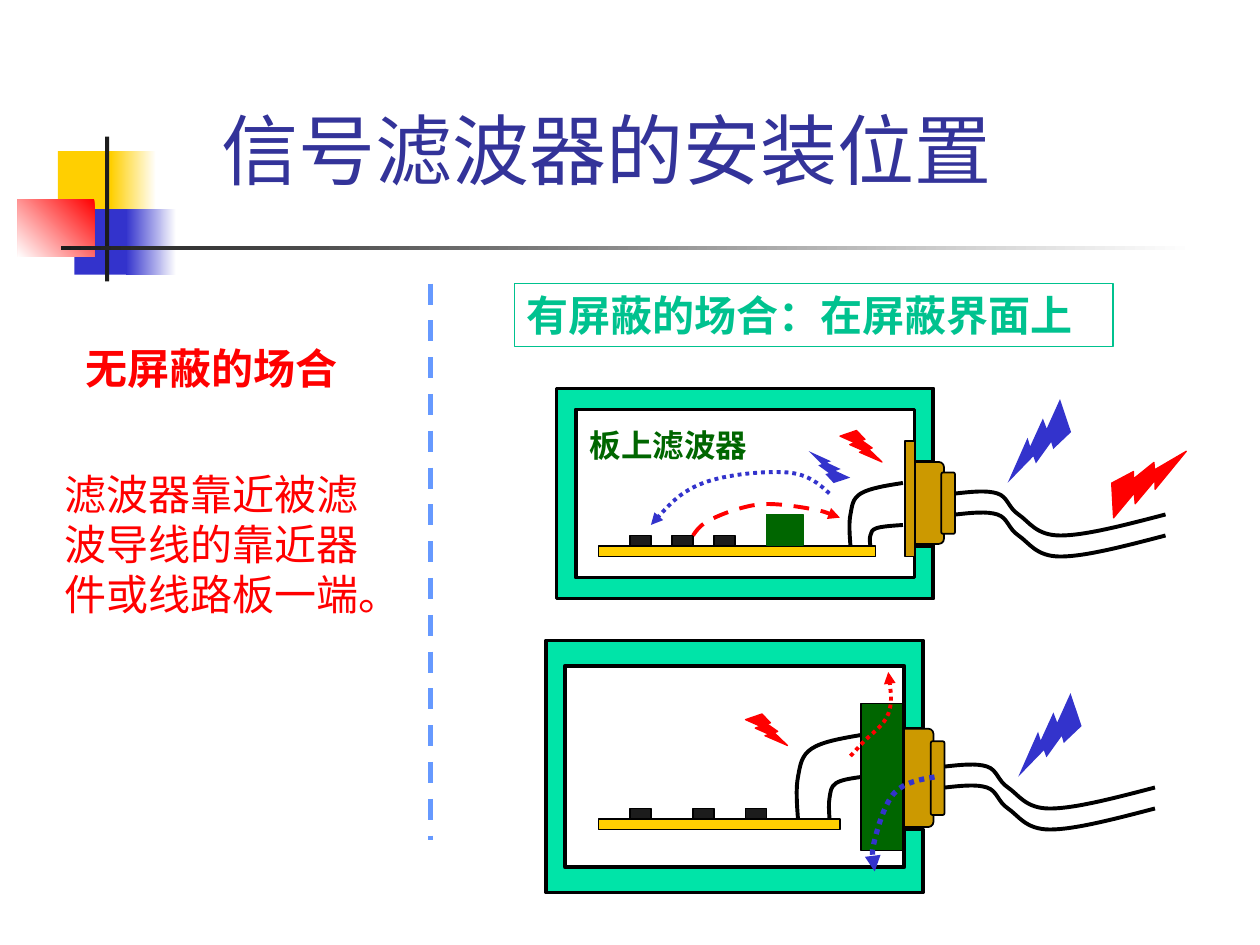
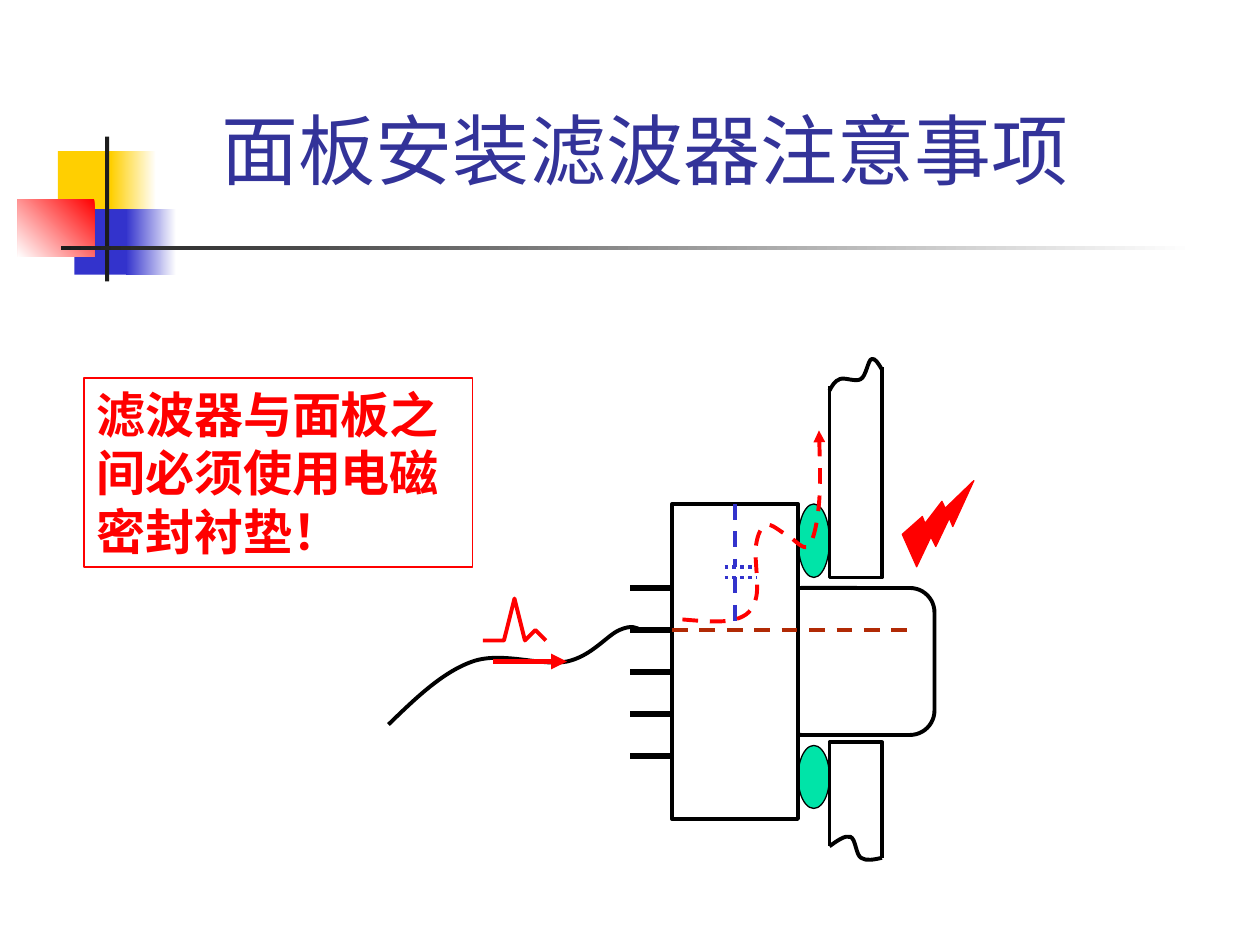
"""Build two slides on where to mount signal filters and how to seal them."""
from dataclasses import dataclass

from pptx import Presentation
from pptx.dml.color import RGBColor
from pptx.enum.dml import MSO_LINE
from pptx.enum.shapes import MSO_CONNECTOR, MSO_SHAPE
from pptx.enum.text import MSO_ANCHOR, MSO_AUTO_SIZE, PP_ALIGN
from pptx.oxml.ns import qn
from pptx.util import Inches, Pt
from lxml.etree import SubElement


@dataclass(frozen=True)
class Theme:
    title: str = "333399"
    red: str = "FF0000"
    blue: str = "3333CC"
    yellow: str = "FFCF01"
    black: str = "000000"
    ink: str = "1C1C1C"
    white: str = "FFFFFF"
    filter: str = "006600"
    shield: str = "00E4A8"
    heading: str = "00C28F"
    brass: str = "CC9900"
    divider: str = "6699FF"
    conductor: str = "B12A05"
    font: str = "Lato"
    label_font: str = "Times New Roman"
    title_size: int = 44
    notice_size: int = 28
    body_size: int = 24
    label_size: int = 18
    hairline: float = 0.75
    thin: float = 1
    medium: float = 2.25
    thick: float = 3


THEME = Theme()
COLUMNS, ROWS = 120, 90
CELL = Inches(10) / COLUMNS
DASH, DOT = MSO_LINE.DASH, MSO_LINE.ROUND_DOT


def block(slide, kind, box, fill=None, line=None, width=THEME.hairline, turn=0):
    """Place a preset shape given in grid cells; two fill colours make a gradient."""
    shape = slide.shapes.add_shape(kind, *(round(v * CELL) for v in box))
    shape.shadow.inherit = False
    shape.rotation = turn
    if isinstance(fill, tuple):
        start, end, angle = fill
        shape.fill.gradient()
        shape.fill.gradient_angle = angle
        for stop, colour in zip(shape.fill.gradient_stops, (start, end)):
            stop.color.rgb = RGBColor.from_string(colour)
    elif fill:
        shape.fill.solid()
        shape.fill.fore_color.rgb = RGBColor.from_string(fill)
    else:
        shape.fill.background()
    if line:
        shape.line.color.rgb = RGBColor.from_string(line)
        shape.line.width = Pt(width)
    else:
        shape.line.fill.background()
    return shape


def trace(slide, knots, line=THEME.black, width=THEME.medium, dash=None,
          arrow=False, curved=True, fill=None):
    """Draw a straight connector, a polyline or a smooth curve through grid knots."""
    points = [(round(x * CELL), round(y * CELL)) for x, y in knots]
    if len(points) == 2:
        stroke = slide.shapes.add_connector(MSO_CONNECTOR.STRAIGHT, *points[0], *points[1])
    else:
        builder = slide.shapes.build_freeform(*points[0])
        builder.add_line_segments(points[1:], close=bool(fill))
        stroke = builder.convert_to_shape()
        if fill:
            stroke.fill.solid()
            stroke.fill.fore_color.rgb = RGBColor.from_string(fill)
        else:
            stroke.fill.background()
        if curved:
            left, top = (min(axis) for axis in zip(*points))
            local = [(x - left, y - top) for x, y in points]
            slopes = [((c[0] - a[0]) / 6, (c[1] - a[1]) / 6)
                      for a, c in zip(local, local[2:])]
            before = [(x - dx, y - dy) for (x, y), (dx, dy) in zip(local[1:], slopes)]
            after = [(x + dx, y + dy) for (x, y), (dx, dy) in zip(local[1:], slopes)]
            first = tuple((a + b) / 2 for a, b in zip(local[0], before[0]))
            last = tuple((a + b) / 2 for a, b in zip(after[-1], local[-1]))
            handles = zip([first] + after, before + [last])
            for step, pair in zip(list(stroke.element.iter(qn("a:lnTo"))), handles):
                step.tag = qn("a:cubicBezTo")
                for order, (x, y) in enumerate(pair):
                    step.insert(order, step.makeelement(
                        qn("a:pt"), {"x": str(round(x)), "y": str(round(y))}))
    stroke.line.color.rgb = RGBColor.from_string(line)
    stroke.line.width = Pt(width)
    if dash:
        stroke.line.dash_style = dash
    properties = stroke.element.spPr
    if arrow:
        SubElement(properties.find(qn("a:ln")), qn("a:tailEnd"), type="triangle")
    SubElement(properties, qn("a:effectLst"))
    return stroke


prs = Presentation()
prs.slide_width, prs.slide_height = round(COLUMNS * CELL), round(ROWS * CELL)
layout = prs.slide_layouts[5]
placement = prs.slides.add_slide(layout)
sealing = prs.slides.add_slide(layout)

emblem = [
    ((5.52, 14.4, 5.76, 6.24), THEME.yellow),
    ((10.56, 14.4, 4.32, 6.24), (THEME.white, THEME.yellow, 180)),
    ((7.08, 19.92, 5.52, 6.24), THEME.blue),
    ((12, 19.92, 4.8, 6.24), (THEME.white, THEME.blue, 180)),
    ((1.68, 18.96, 7.32, 5.52), (THEME.red, THEME.white, 225)),
    ((10, 13, 0.4, 13.8), THEME.ink),
    ((5.8, 23.4, 108, 0.4), (THEME.white, THEME.ink, 180)),
]
for number, (box, fill) in enumerate(emblem, start=20):
    mark = block(placement, MSO_SHAPE.RECTANGLE, box, fill).element
    mark.nvSpPr.cNvPr.id = number
    layout.shapes.element.append(mark)

for slide, heading in ((placement, "信号滤波器的安装位置"), (sealing, "面板安装滤波器注意事项")):
    title = slide.shapes.title
    title.left, title.top, title.width, title.height = (
        round(v * CELL) for v in (19.92, 9.12, 90, 10.08))
    title.text_frame.text = heading
    title.text_frame.auto_size = MSO_AUTO_SIZE.NONE
    title.text_frame.vertical_anchor = MSO_ANCHOR.BOTTOM
    line = title.text_frame.paragraphs[0]
    line.alignment = PP_ALIGN.LEFT
    line.font.name, line.font.size = THEME.font, Pt(THEME.title_size)
    line.font.color.rgb = RGBColor.from_string(THEME.title)

trace(placement, [(41, 27), (41, 80)], THEME.divider, THEME.thick, DASH)

for left, top, stretch in ((53, 37, 1), (52, 61, 1.2)):
    right, inner_left, inner_right = left + 35.9, left + 1.85, left + 34.1
    bottom, inner_top, inner_bottom, slot_top, slot_bottom = (
        top + stretch * rows for rows in (20, 2, 18, 7, 15))
    trace(placement, [
        (right, slot_bottom), (right, bottom), (left, bottom), (left, top),
        (right, top), (right, slot_top), (inner_right, slot_top),
        (inner_right, inner_top), (inner_left, inner_top),
        (inner_left, inner_bottom), (inner_right, inner_bottom),
        (inner_right, slot_bottom)], curved=False, fill=THEME.shield)
    for offset, row, width, height in ((33.2, 7, 3.7, 7.8), (36.65, 8, 1.3, 5.85)):
        shell = block(placement, MSO_SHAPE.ROUNDED_RECTANGLE,
                      (left + offset, top + stretch * row, width, stretch * height),
                      THEME.brass, THEME.black, THEME.thin)
        shell.adjustments[0] = 0.13
    block(placement, MSO_SHAPE.RECTANGLE,
          (left + 33.2, top + stretch * 5, 0.95, stretch * 11), THEME.brass, THEME.black)
    for gap in (0, 2):
        trace(placement, [(left + 38 + x, top + stretch * 10 + gap + y)
                          for x, y in ((0, 0), (4, 0), (6, 2), (10, 4), (20, 2))])

for board_row, board_width, chips in ((52, 26.4, (60, 64, 68)), (78, 23, (60, 66, 71))):
    block(placement, MSO_SHAPE.RECTANGLE, (57, board_row, board_width, 1),
          THEME.yellow, THEME.black, THEME.thin)
    for chip in chips:
        block(placement, MSO_SHAPE.RECTANGLE, (chip, board_row - 1, 2, 1),
              THEME.ink, THEME.black)

block(placement, MSO_SHAPE.RECTANGLE, (73, 49, 3.5, 2.9), THEME.filter, THEME.filter, THEME.thin)
block(placement, MSO_SHAPE.RECTANGLE, (82, 67, 4, 14), THEME.filter, THEME.black)

for lead in (
    [(81, 52), (81, 49), (82, 47), (86, 46)],
    [(82.9, 52), (82.9, 51), (83.5, 50.3), (86, 50)],
    [(76, 78), (76, 74), (77.3, 71.3), (82, 70)],
    [(79, 78), (79, 76), (79.6, 74.6), (82, 74)],
):
    trace(placement, lead)

for coupling, colour, width, dash in (
    ([(66, 51), (67.3, 49.7), (70.2, 48.5), (73.2, 48), (77.4, 48.5), (80, 49.3)],
     THEME.red, THEME.medium, DASH),
    ([(79, 47), (75, 45), (67, 46), (62, 50)], THEME.blue, THEME.medium, DOT),
    ([(81, 72), (82.2, 70.7), (84.6, 68), (84.6, 64)], THEME.red, THEME.medium, DOT),
    ([(89, 74), (85.2, 75.5), (83.3, 80), (83.3, 83)], THEME.blue, THEME.thick, DOT),
):
    trace(placement, coupling, colour, width, dash, arrow=True)

for slide, box, colour, edge, turn in (
    (placement, (105, 43, 8, 6), THEME.red, THEME.red, 285.9),
    (placement, (80, 41, 4, 3), THEME.red, THEME.red, 0),
    (placement, (95, 39, 8, 6), THEME.blue, None, 90.4),
    (placement, (77, 43, 4, 3), THEME.blue, None, 181),
    (placement, (96, 67, 8, 6), THEME.blue, None, 90.4),
    (placement, (71, 68, 4, 3), THEME.red, THEME.red, 0),
    (sealing, (85.4, 46.4, 8, 7), THEME.red, THEME.red, 267.9),
):
    block(slide, MSO_SHAPE.LIGHTNING_BOLT, box, colour, edge, turn=turn)

for gasket_top, gasket_height in ((71, 6), (48, 7)):
    block(sealing, MSO_SHAPE.OVAL, (76, gasket_top, 3, gasket_height), THEME.shield, THEME.black)
block(sealing, MSO_SHAPE.ROUNDED_RECTANGLE, (74, 56, 15, 14), None, THEME.black, THEME.medium)
filter_body = block(sealing, MSO_SHAPE.RECTANGLE, (64, 48, 12, 30),
                    THEME.white, THEME.black, THEME.medium)

for panel, torn_edge in (
    ([(79, 36.8), (79, 55), (84, 55), (84, 35)],
     [(79, 37.2), (80, 36.1), (82, 36.1), (83, 34.2), (84, 35.2)]),
    ([(79, 80.6), (79, 70.7), (84, 70.7), (84, 81.7)],
     [(79, 80.6), (81, 79.7), (82, 81.7), (84, 81.7)]),
):
    trace(sealing, panel, curved=False)
    trace(sealing, torn_edge)

for pin_row in range(56, 73, 4):
    trace(sealing, [(60, pin_row), (64, pin_row)], width=THEME.thick)
for plate_row in (54, 55):
    trace(sealing, [(69, plate_row), (72, plate_row)], THEME.blue, dash=DOT)
trace(sealing, [(64, 60), (87, 60)], THEME.conductor, dash=DASH)
ground_lead = trace(sealing, [(70, 48), (70, 54)], THEME.blue, dash=DASH)
ground_lead.begin_connect(filter_body, 0)
trace(sealing, [(70, 55), (70, 60)], THEME.blue, dash=DASH)
trace(sealing, [(65, 59), (70, 59), (72, 57), (72, 52), (73, 50), (75, 51), (77, 52),
                (78, 48), (78, 41)], THEME.red, dash=DASH, arrow=True)
trace(sealing, [(37, 69), (45, 63), (54, 63), (59, 60), (61, 60)])
trace(sealing, [(46, 61), (48, 61), (49, 57), (50, 61), (51, 60), (52, 61)],
      THEME.red, curved=False)
trace(sealing, [(47, 63), (54, 63)], THEME.red, THEME.thick, arrow=True)

for slide, box, words, framed, font, size, colour, bold in (
    (placement, (55, 40, 19.5, 4.8), "板上滤波器", False,
     THEME.label_font, THEME.label_size, THEME.filter, True),
    (placement, (7, 32, 28, 6), "无屏蔽的场合", False,
     THEME.font, THEME.body_size, THEME.red, True),
    (placement, (5, 44, 32, 15.6), "滤波器靠近被滤波导线的靠近器件或线路板一端。", False,
     THEME.font, THEME.body_size, THEME.red, False),
    (placement, (49, 27, 57, 6), "有屏蔽的场合：在屏蔽界面上", True,
     THEME.font, THEME.body_size, THEME.heading, True),
    (sealing, (8, 36, 37, 18), "滤波器与面板之间必须使用电磁密封衬垫！", True,
     THEME.font, THEME.notice_size, THEME.red, True),
):
    if framed:
        caption = block(slide, MSO_SHAPE.RECTANGLE, box, None, colour)
    else:
        caption = slide.shapes.add_textbox(*(round(v * CELL) for v in box))
    frame = caption.text_frame
    frame.text = words
    frame.word_wrap = True
    frame.auto_size = MSO_AUTO_SIZE.SHAPE_TO_FIT_TEXT
    frame.vertical_anchor = MSO_ANCHOR.TOP
    line = frame.paragraphs[0]
    line.alignment = PP_ALIGN.LEFT
    line.font.name, line.font.size, line.font.bold = font, Pt(size), bold
    line.font.color.rgb = RGBColor.from_string(colour)

prs.save("out.pptx")
